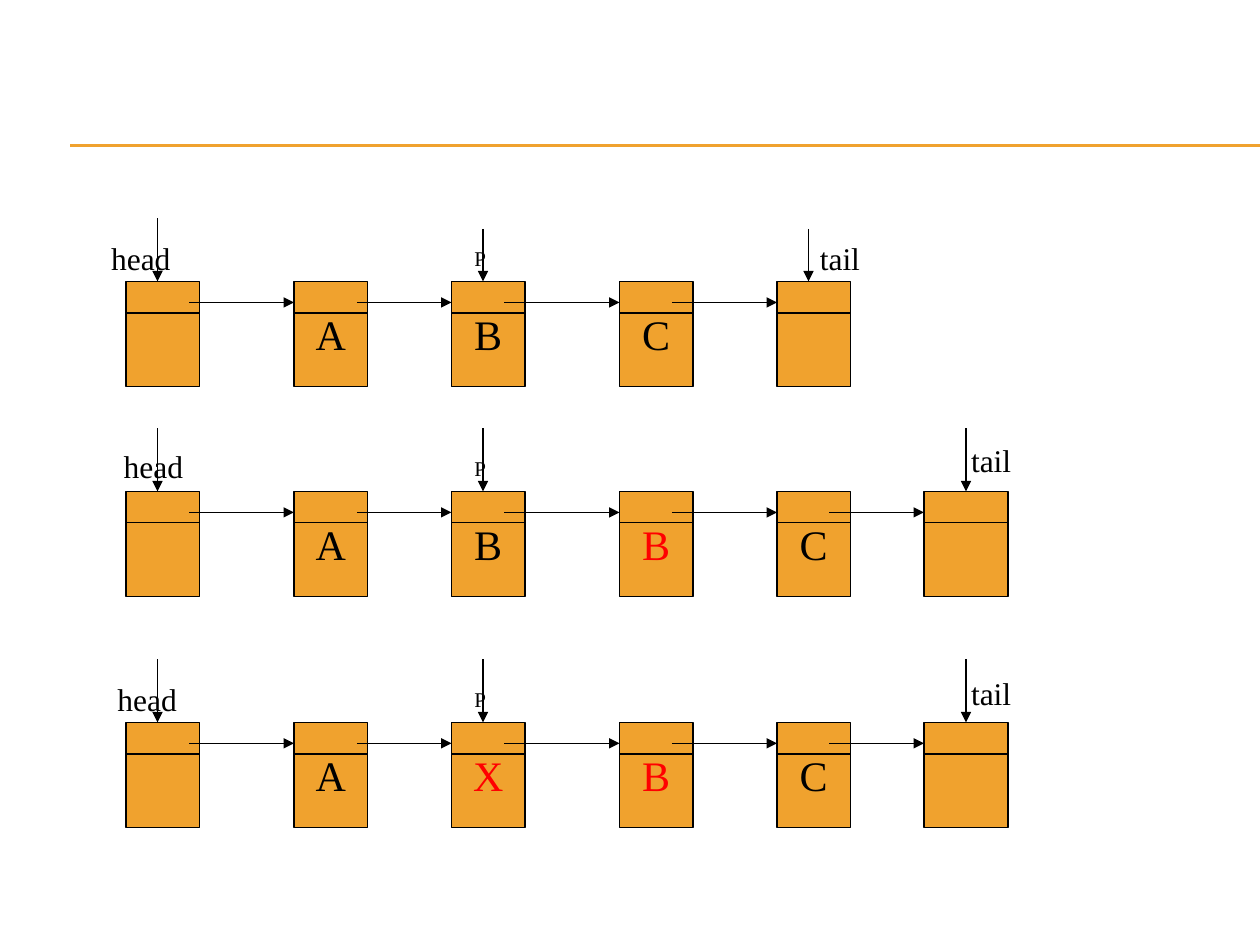
from dataclasses import dataclass

from lxml.etree import SubElement as Sub
from pptx import Presentation
from pptx.dml.color import RGBColor as Rgb
from pptx.enum.shapes import MSO_CONNECTOR as Conn, MSO_SHAPE as Form
from pptx.enum.text import MSO_ANCHOR as Anchor, PP_ALIGN as Align
from pptx.oxml.ns import qn
from pptx.util import Inches, Pt


@dataclass(frozen=True)
class Theme:
    gold: Rgb = Rgb(0xF0, 0xA2, 0x2E)
    ink: Rgb = Rgb(0, 0, 0)
    red: Rgb = Rgb(0xFF, 0, 0)
    font: str = "Times New Roman"
    node: int = 24
    name: int = 18
    small: int = 12
    stroke: float = 0.75


@dataclass(frozen=True)
class Mark:
    """A named pointer: arrow column, its length, and the place of its name."""
    text: str
    col: float
    rise: float
    left: float
    lift: float
    width: float
    size: int


@dataclass(frozen=True)
class Chain:
    top: float
    nodes: str
    reds: tuple
    marks: tuple


THEME = Theme()
CELL = 1 / 12  # inches in one grid step
COLS = (12, 28, 43, 59, 74, 88)
EXITS = (6, 6, 5, 5, 5)  # where each link leaves its node
WIDTHS = (7, 7, 7, 7, 7, 8)
TALL, SPLIT, LINK = 10, 3, 2


def head(rise, left, lift):
    return Mark("head", COLS[0] + 3, rise, left, lift, 10, THEME.name)


def here(rise, width):
    return Mark("P", COLS[2] + 3, rise, COLS[2] + 1, 4, width, THEME.small)


def tail(col, rise, left, lift, width):
    return Mark("tail", col, rise, left, lift, width, THEME.name)


CHAINS = (
    Chain(26.8, " ABC ", (),
          (head(6, 9.4, 4.6), here(5, 6), tail(77, 5, 76.9, 4.6, 9))),
    Chain(46.8, " ABBC ", (3,),
          (head(6, 10.6, 4.8), here(6, 5), tail(92, 6, 91.3, 5.4, 10.7))),
    Chain(68.8, " AXBC ", (2, 3),
          (head(6, 10, 4.6), here(6, 5), tail(92, 6, 91.3, 5.2, 10.7))),
)


def grid(*steps):
    return [Inches(step * CELL) for step in steps]


def write(frame, text, size, color):
    frame.text = text
    font = frame.paragraphs[0].runs[0].font
    font.name, font.size = THEME.font, Pt(size)
    font.color.rgb = color


def add_line(slide, start, end, color=THEME.ink, arrow=False):
    line = slide.shapes.add_connector(Conn.STRAIGHT, *grid(*start, *end))
    line.line.color.rgb = color
    line.line.width = Pt(THEME.stroke)
    props = line._element.spPr
    if arrow:
        Sub(props.find(qn("a:ln")), qn("a:tailEnd"), type="triangle")
    Sub(props, qn("a:effectLst"))


def add_node(slide, left, top, width, text, color):
    box = slide.shapes.add_shape(Form.RECTANGLE, *grid(left, top, width, TALL))
    box.shadow.inherit = False
    box.fill.solid()
    box.fill.fore_color.rgb = THEME.gold
    box.line.color.rgb = THEME.ink
    box.line.width = Pt(THEME.stroke)
    if text.strip():
        frame = box.text_frame
        frame.word_wrap = False
        frame.vertical_anchor = Anchor.MIDDLE
        write(frame, text, THEME.node, color)
        frame.paragraphs[0].alignment = Align.CENTER
    add_line(slide, (left, top + SPLIT), (left + width, top + SPLIT))


def add_mark(slide, mark, top):
    add_line(slide, (mark.col, top - mark.rise), (mark.col, top), arrow=True)
    tall = 4.8 if mark.size == THEME.name else 3.6
    box = slide.shapes.add_textbox(
        *grid(mark.left, top - mark.lift, mark.width, tall))
    box.text_frame.word_wrap = True
    write(box.text_frame, mark.text, mark.size, THEME.ink)


def add_chain(slide, chain):
    for i, text in enumerate(chain.nodes):
        color = THEME.red if i in chain.reds else THEME.ink
        add_node(slide, COLS[i], chain.top, WIDTHS[i], text, color)
    level = chain.top + LINK
    for i in range(len(chain.nodes) - 1):
        add_line(slide, (COLS[i] + EXITS[i], level), (COLS[i + 1], level),
                 arrow=True)
    for mark in chain.marks:
        add_mark(slide, mark, chain.top)


def main():
    deck = Presentation()
    deck.slide_width, deck.slide_height = Inches(10), Inches(7.5)
    slide = deck.slides.add_slide(deck.slide_layouts[6])
    for level in (13.8, 13.9):
        add_line(slide, (6.7, level), (120, level), THEME.gold)
    for chain in CHAINS:
        add_chain(slide, chain)
    deck.save("out.pptx")


if __name__ == "__main__":
    main()
